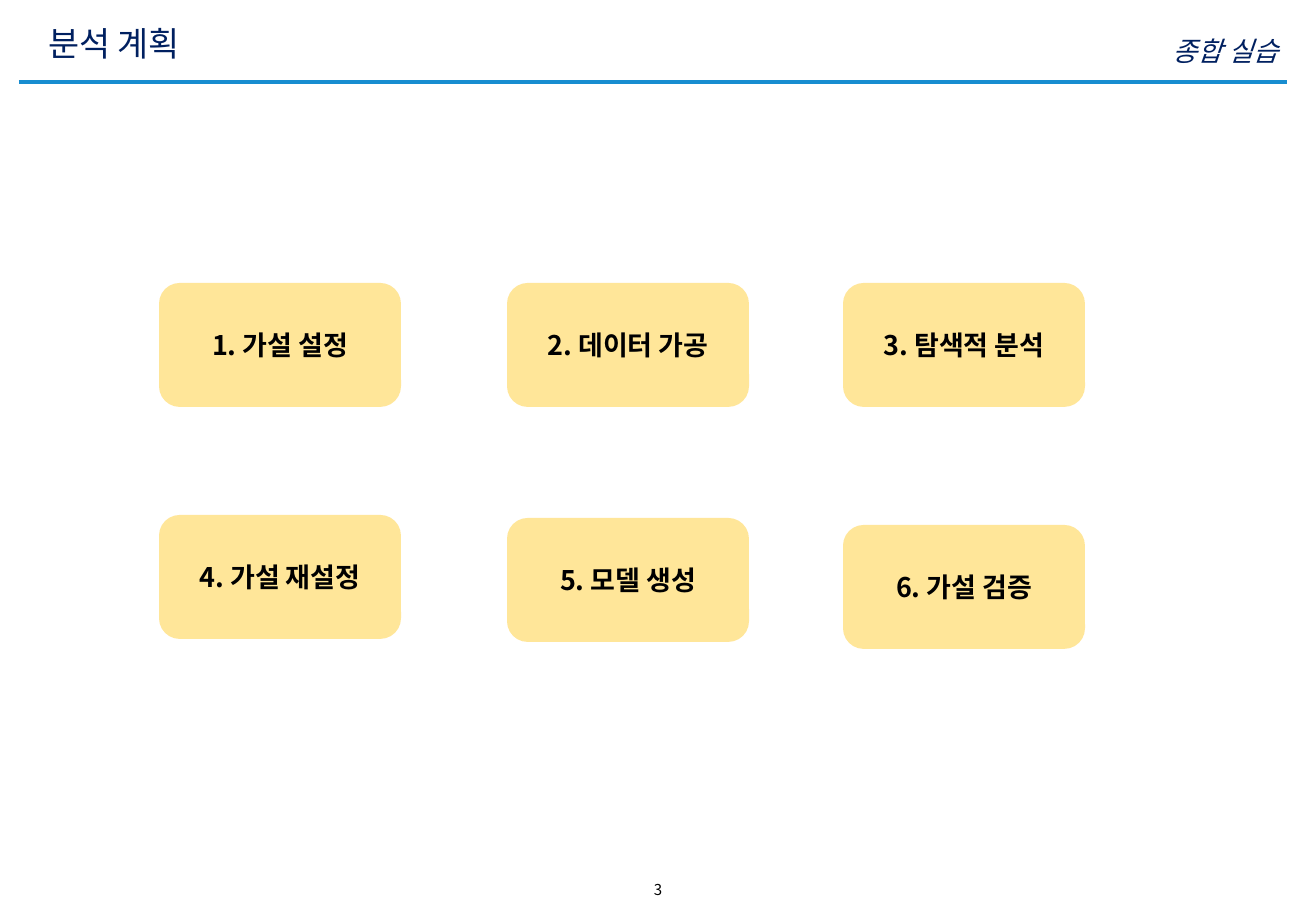
import pptx
import pptx.util
import pptx.dml.color
import pptx.enum.shapes
import pptx.enum.text
import pptx.oxml
import pptx.oxml.ns

PX = 914400 / 121.5
FONT = "Noto Sans CJK KR"
NAVY = "002060"
ALIGN = pptx.enum.text.PP_ALIGN
ANCHOR = pptx.enum.text.MSO_ANCHOR


def px(*lengths):
    """Turn px lengths into EMU."""
    return [round(n * PX) for n in lengths]


def write(sp, text, size, color, align, anchor=ANCHOR.MIDDLE):
    """Fill a shape with one paragraph and return its font."""
    tf = sp.text_frame
    tf.word_wrap = True
    tf.vertical_anchor = anchor
    p = tf.paragraphs[0]
    p.text = text
    p.alignment = align
    p.font.name = FONT
    p.font.size = pptx.util.Pt(size)
    p.font.color.rgb = pptx.dml.color.RGBColor.from_string(color)
    latin = p._p.find(".//" + pptx.oxml.ns.qn("a:latin"))
    latin.addnext(pptx.oxml.parse_xml(
        f'<a:ea {pptx.oxml.ns.nsdecls("a")} typeface="{FONT}"/>'))
    return p.font


prs = pptx.Presentation()
prs.slide_width, prs.slide_height = px(1316, 911)
s = prs.slides.add_slide(prs.slide_layouts[5])

# Header
title = s.shapes.title
title.left, title.top, title.width, title.height = px(36, 17, 1034, 53)
write(title, "분석 계획", 20, NAVY, ALIGN.LEFT)

section = s.shapes.add_textbox(*px(796, 29, 494, 36))
write(section, "종합 실습", 16, NAVY, ALIGN.RIGHT, ANCHOR.TOP).italic = True

rule = s.shapes.add_connector(
    pptx.enum.shapes.MSO_CONNECTOR.STRAIGHT, *px(19, 82, 1287, 82))
rule.line.color.rgb = pptx.dml.color.RGBColor.from_string("188DD0")
rule.line.width = pptx.util.Pt(2)
rule._element.spPr.append(pptx.oxml.parse_xml(
    f'<a:effectLst {pptx.oxml.ns.nsdecls("a")}/>'))

# Analysis steps: three columns, the lower row at slightly different heights
columns = [159, 507, 843]
steps = [
    ("가설 설정", 283), ("데이터 가공", 283), ("탐색적 분석", 283),
    ("가설 재설정", 515), ("모델 생성", 518), ("가설 검증", 525),
]
for i, (step, top) in enumerate(steps):
    sp = s.shapes.add_shape(pptx.enum.shapes.MSO_SHAPE.ROUNDED_RECTANGLE,
                            *px(columns[i % 3], top, 242, 124))
    sp.shadow.inherit = False
    sp.fill.solid()
    sp.fill.fore_color.rgb = pptx.dml.color.RGBColor.from_string("FFE699")
    sp.line.fill.background()
    write(sp, f"{i + 1}. {step}", 16, "000000", ALIGN.CENTER).bold = True
    sp.text_frame.word_wrap = False

page = s.shapes.add_textbox(*px(533, 875, 250, 30))
write(page, "3", 8.9, "000000", ALIGN.CENTER)

prs.save("out.pptx")
